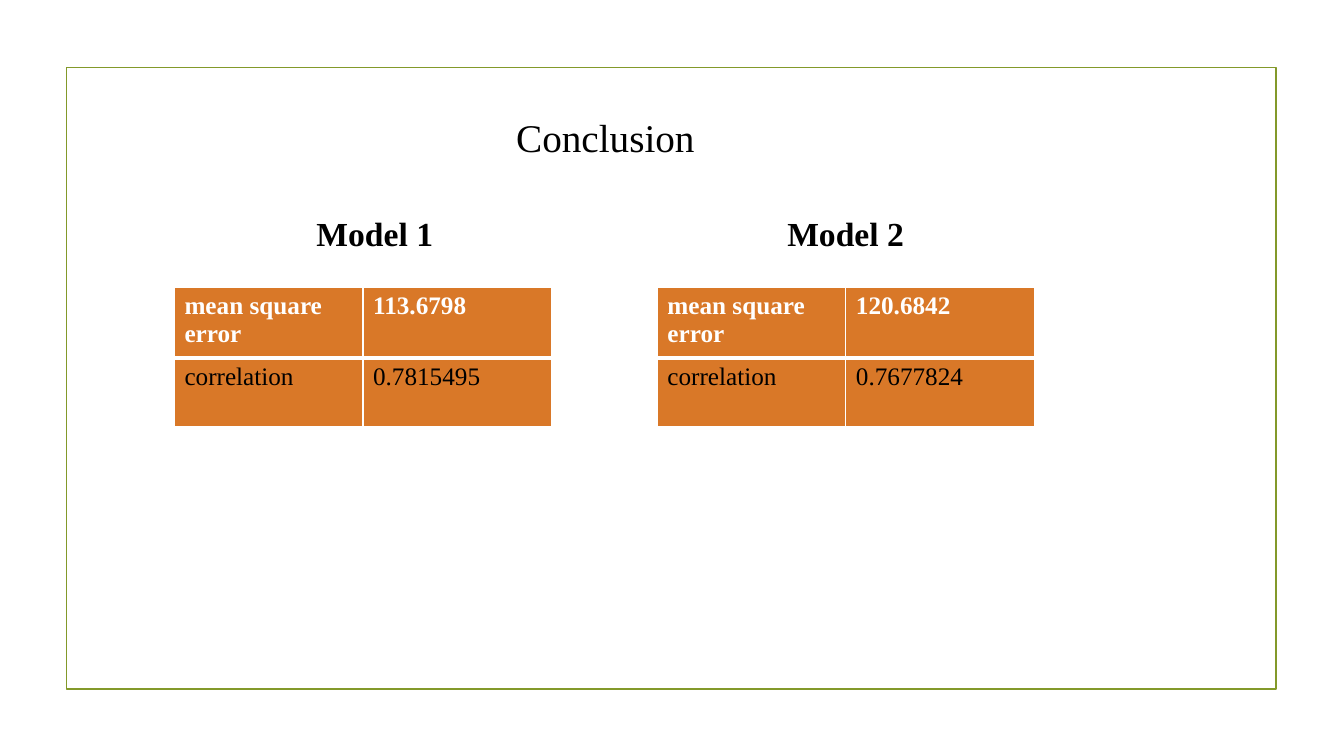
from dataclasses import dataclass

from lxml.etree import SubElement
from pptx import Presentation
from pptx.dml.color import RGBColor
from pptx.enum.shapes import MSO_SHAPE as Preset
from pptx.enum.text import MSO_ANCHOR as Anchor, MSO_AUTO_SIZE as AutoSize, PP_ALIGN as Align
from pptx.oxml.ns import qn
from pptx.util import Inches, Pt

FONT = "Times New Roman"
BLACK, WHITE, ORANGE, OLIVE = "000000", "FFFFFF", "D97828", "83992A"
WIDTH, HEIGHT = Inches(13.33), Inches(7.5)


@dataclass
class Area:
    """A rectangle given in percent of the slide's width and height."""
    left: float
    top: float
    width: float
    height: float

    def lengths(self) -> tuple[int, ...]:
        """Return left, top, width and height as lengths."""
        shares = (self.left, self.top, self.width, self.height)
        return tuple(round(share / 100 * side) for share, side in zip(shares, (WIDTH, HEIGHT) * 2))


@dataclass
class Model:
    """A model's heading and its measures, with their left edges."""
    name: str
    name_left: float
    table_left: float
    error: str
    correlation: str


MODELS = [
    Model("Model 1", 22.81, 12.98, "113.6798", "0.7815495"),
    Model("Model 2", 57.84, 48.91, "120.6842", "0.7677824"),
]


def colour(value: str) -> RGBColor:
    """Turn a hex string into a colour."""
    return RGBColor.from_string(value)


def style(para, size: float, shade: str, bold: bool = False) -> None:
    """Set the font of a paragraph."""
    para.font.name, para.font.size, para.font.bold = FONT, Pt(size), bold
    para.font.color.rgb = colour(shade)
    para.alignment = Align.LEFT


def write(box, area: Area, text: str, size: float, bold: bool = False) -> None:
    """Place a box and write one unwrapped line in it."""
    box.left, box.top, box.width, box.height = area.lengths()
    frame = box.text_frame
    frame.text = text
    frame.word_wrap, frame.auto_size = False, AutoSize.SHAPE_TO_FIT_TEXT
    frame.vertical_anchor = Anchor.TOP
    style(frame.paragraphs[0], size, BLACK, bold)


def draw_border(cell, side: str, points: float) -> None:
    """Draw a white line along one side of a cell."""
    line = SubElement(cell._tc.get_or_add_tcPr(), qn(f"a:ln{side}"), w=str(Pt(points)))
    SubElement(SubElement(line, qn("a:solidFill")), qn("a:srgbClr"), val=WHITE)


def draw_table(page, model: Model) -> None:
    """Draw the table of a model's measures."""
    rows = [("mean square error", model.error), ("correlation", model.correlation)]
    area = Area(model.table_left, 38, 28.06, 18.13)
    table = page.shapes.add_table(2, 2, *area.lengths()).table
    for row, texts in enumerate(rows):
        header = row == 0
        for column, text in enumerate(texts):
            cell = table.cell(row, column)
            cell.text = text
            style(cell.text_frame.paragraphs[0], 18, WHITE if header else BLACK, header)
            widths = {"L": 1, "R": 1, "T": 1 if header else 3, "B": 3 if header else 1}
            for side, points in widths.items():
                draw_border(cell, side, points)
            cell.fill.solid()
            cell.fill.fore_color.rgb = colour(ORANGE)


def draw_frame(page) -> None:
    """Draw the outline around the slide's content."""
    frame = page.shapes.add_shape(Preset.RECTANGLE, *Area(4.95, 8.93, 90.02, 82.27).lengths())
    frame.shadow.inherit = False
    frame.fill.background()
    frame.line.color.rgb = colour(OLIVE)
    frame.line.width = Pt(1.25)


def main() -> None:
    """Build the slide and save it."""
    deck = Presentation()
    deck.slide_width, deck.slide_height = WIDTH, HEIGHT
    page = deck.slides.add_slide(deck.slide_layouts[5])
    draw_frame(page)
    write(page.shapes.title, Area(37.66, 14.27, 14.78, 7.6), "Conclusion", 28)
    for model in MODELS:
        draw_table(page, model)
        area = Area(model.name_left, 27.47, 10.2, 6.67)
        write(page.shapes.add_textbox(*area.lengths()), area, model.name, 24, bold=True)
    deck.save("out.pptx")


if __name__ == "__main__":
    main()
